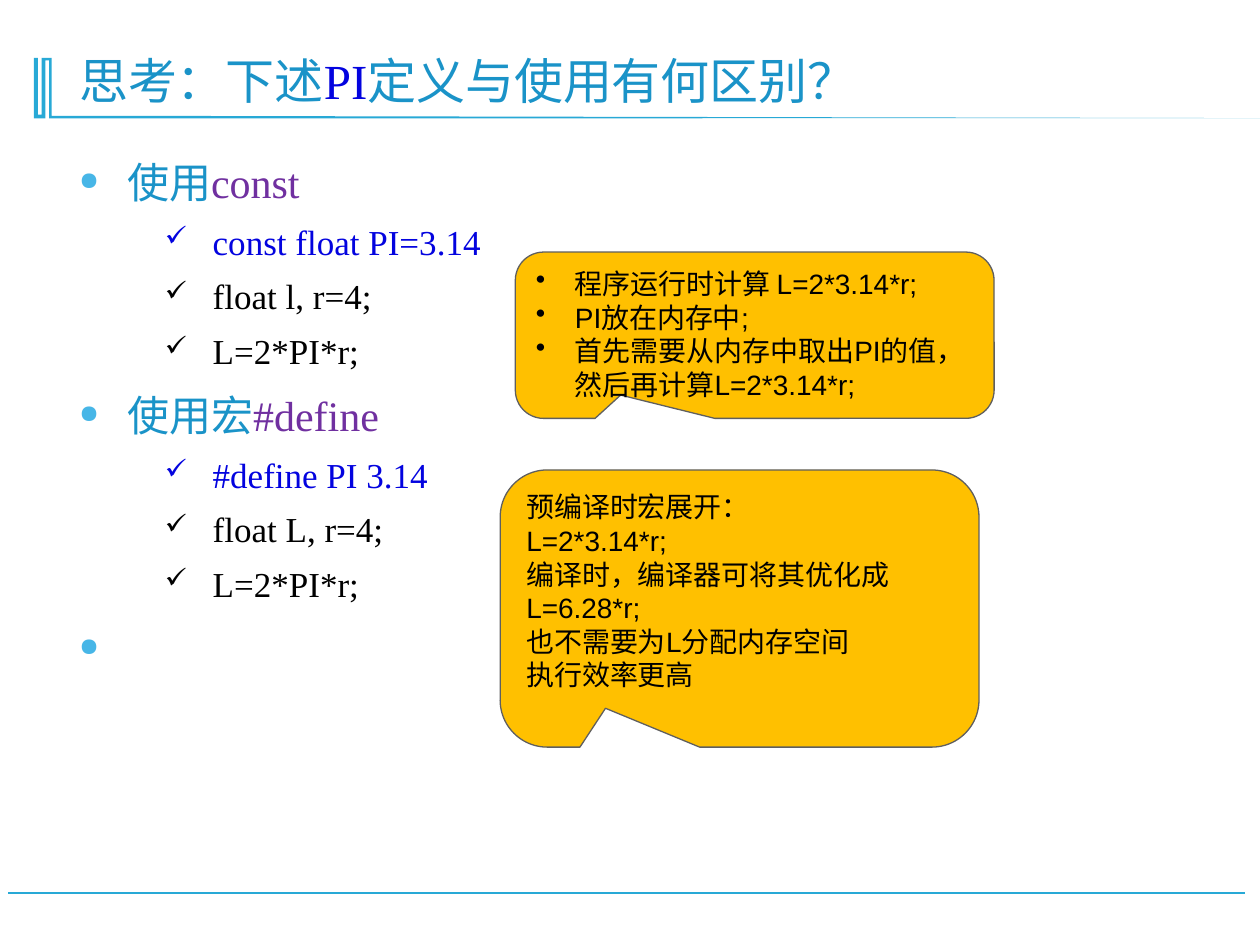
import dataclasses
import typing

import lxml.etree
import pptx
import pptx.dml.color
import pptx.enum.shapes
import pptx.enum.text
import pptx.oxml.ns
import pptx.util

WIDTH = pptx.util.Inches(10)
HEIGHT = pptx.util.Inches(7.5)
SERIF, SANS = "Times New Roman", "Arial"
TEAL, HEADING, BLUE, PURPLE = "28A9D6", "1A93C8", "0303DF", "7030A0"
BLACK, AMBER, GREY, BULLET_BLUE = "000000", "FFC000", "5F5F5F", "47B6E7"


@dataclasses.dataclass(frozen=True)
class Area:
    left: float
    top: float
    width: float
    height: float

    def lengths(self) -> tuple[int, int, int, int]:
        return across(self.left), down(self.top), across(self.width), down(self.height)


@dataclasses.dataclass(frozen=True)
class Bullet:
    symbol: str
    margin: float
    hanging: float
    percent: int = 100
    color: str | None = None


@dataclasses.dataclass(frozen=True)
class Topic:
    heading: str
    keyword: str
    code: tuple[str, ...]


@dataclasses.dataclass(frozen=True)
class Callout:
    area: Area
    lines: tuple[str, ...]
    bullet: Bullet | None = None


DOT = Bullet("●", 0.38, 0.38, 60, BULLET_BLUE)
CHECK = Bullet("✓", 1.06, 0.38, 80)
POINT = Bullet("•", 0.31, 0.31)

TITLE_AREA = Area(5.3, 3.73, 88.5, 8.53)
BODY_AREA = Area(5.3, 16.53, 88.5, 78)
TITLE = (("思考：下述", HEADING), ("PI", BLUE), ("定义与使用有何区别？", HEADING))
TOPICS = (
    Topic("使用", "const", ("const float PI=3.14", "float l, r=4;", "L=2*PI*r;")),
    Topic("使用宏", "#define", ("#define PI 3.14", "float L, r=4;", "L=2*PI*r;")),
    Topic(" ", "", ()),
)
CALLOUTS = (
    Callout(
        Area(40.9, 26.67, 38, 17.6),
        (
            "程序运行时计算 L=2*3.14*r;",
            "PI放在内存中;",
            "首先需要从内存中取出PI的值，然后再计算L=2*3.14*r;",
        ),
        POINT,
    ),
    Callout(
        Area(39.7, 49.73, 38, 29.33),
        (
            "预编译时宏展开：",
            "L=2*3.14*r;",
            "编译时，编译器可将其优化成",
            "L=6.28*r;",
            "也不需要为L分配内存空间",
            "执行效率更高",
        ),
    ),
)
RULE_OUTLINE = (
    (4.1, 6.13), (4.1, 12.27), (14, 12.27), (100, 12.5), (4.1, 12.53),
    (3.9, 12.53), (3.9, 6.4), (3.6, 6.4), (3.6, 12.53), (2.7, 12.53),
    (2.7, 6.13), (3, 6.13), (3, 12.13), (3.3, 12.13), (3.3, 6.13),
)


def across(percent: float) -> int:
    return round(WIDTH * percent / 100)


def down(percent: float) -> int:
    return round(HEIGHT * percent / 100)


def rgb(value: str) -> pptx.dml.color.RGBColor:
    return pptx.dml.color.RGBColor.from_string(value)


def add_span(para: typing.Any, text: str, *, size: float, color: str, font: str = SERIF) -> None:
    span = para.add_run()
    span.text = text
    span.font.size = pptx.util.Pt(size)
    span.font.name = font
    span.font.color.rgb = rgb(color)


def set_bullet(para: typing.Any, bullet: Bullet) -> None:
    properties = para._p.get_or_add_pPr()
    properties.set("marL", str(pptx.util.Inches(bullet.margin)))
    properties.set("indent", str(-pptx.util.Inches(bullet.hanging)))
    name = pptx.oxml.ns.qn
    if bullet.color:
        tint = lxml.etree.SubElement(properties, name("a:buClr"))
        lxml.etree.SubElement(tint, name("a:srgbClr"), val=bullet.color)
    lxml.etree.SubElement(properties, name("a:buSzPct"), val=str(bullet.percent * 1000))
    lxml.etree.SubElement(properties, name("a:buChar"), char=bullet.symbol)


def next_para(frame: typing.Any) -> typing.Any:
    first = frame.paragraphs[0]
    return frame.add_paragraph() if first.runs else first


def add_text_box(page: typing.Any, area: Area) -> typing.Any:
    frame = page.shapes.add_textbox(*area.lengths()).text_frame
    frame.word_wrap = True
    return frame


def draw_rules(page: typing.Any) -> None:
    footer = page.shapes.add_connector(
        pptx.enum.shapes.MSO_CONNECTOR.STRAIGHT,
        across(98.8), down(94.53), across(0.6), down(94.53),
    )
    footer.line.color.rgb = rgb(TEAL)
    footer.line.width = pptx.util.Pt(1.25)
    lxml.etree.SubElement(footer._element.spPr, pptx.oxml.ns.qn("a:effectLst"))

    corners = [(across(x), down(y)) for x, y in RULE_OUTLINE]
    builder = page.shapes.build_freeform(*corners[0])
    builder.add_line_segments(corners[1:], close=True)
    rule = builder.convert_to_shape()
    rule.shadow.inherit = False
    rule.fill.solid()
    rule.fill.fore_color.rgb = rgb(TEAL)
    rule.line.fill.background()


def draw_title(page: typing.Any) -> None:
    frame = add_text_box(page, TITLE_AREA)
    frame.vertical_anchor = pptx.enum.text.MSO_ANCHOR.BOTTOM
    para = frame.paragraphs[0]
    para.line_spacing = 0.9
    for text, color in TITLE:
        add_span(para, text, size=28, color=color)


def draw_topics(page: typing.Any) -> None:
    frame = add_text_box(page, BODY_AREA)
    for number, topic in enumerate(TOPICS):
        para = next_para(frame)
        para.line_spacing = 0.9
        para.space_before = pptx.util.Pt(13.5 if number else 0)
        set_bullet(para, DOT)
        add_span(para, topic.heading, size=24, color=HEADING)
        if topic.keyword:
            add_span(para, topic.keyword, size=24, color=PURPLE)
        for row, code in enumerate(topic.code):
            para = next_para(frame)
            para.level = 1
            para.line_spacing = 1.3
            set_bullet(para, CHECK)
            add_span(para, code, size=20, color=BLACK if row else BLUE)


def draw_callout(page: typing.Any, callout: Callout) -> None:
    box = page.shapes.add_shape(
        pptx.enum.shapes.MSO_SHAPE.ROUNDED_RECTANGULAR_CALLOUT, *callout.area.lengths()
    )
    for index, value in enumerate((-0.28, 0.36, 0.17)):
        box.adjustments[index] = value
    box.shadow.inherit = False
    box.fill.solid()
    box.fill.fore_color.rgb = rgb(AMBER)
    box.line.color.rgb = rgb(GREY)
    box.line.width = pptx.util.Pt(0.75)
    frame = box.text_frame
    frame.word_wrap = True
    frame.vertical_anchor = pptx.enum.text.MSO_ANCHOR.TOP
    for line in callout.lines:
        para = next_para(frame)
        para.alignment = pptx.enum.text.PP_ALIGN.LEFT
        if callout.bullet:
            set_bullet(para, callout.bullet)
        add_span(para, line, size=16, color=BLACK, font=SANS)


def main() -> None:
    deck = pptx.Presentation()
    deck.slide_width, deck.slide_height = WIDTH, HEIGHT
    page = deck.slides.add_slide(deck.slide_layouts[6])
    draw_rules(page)
    draw_title(page)
    draw_topics(page)
    for callout in CALLOUTS:
        draw_callout(page, callout)
    deck.save("out.pptx")


if __name__ == "__main__":
    main()
